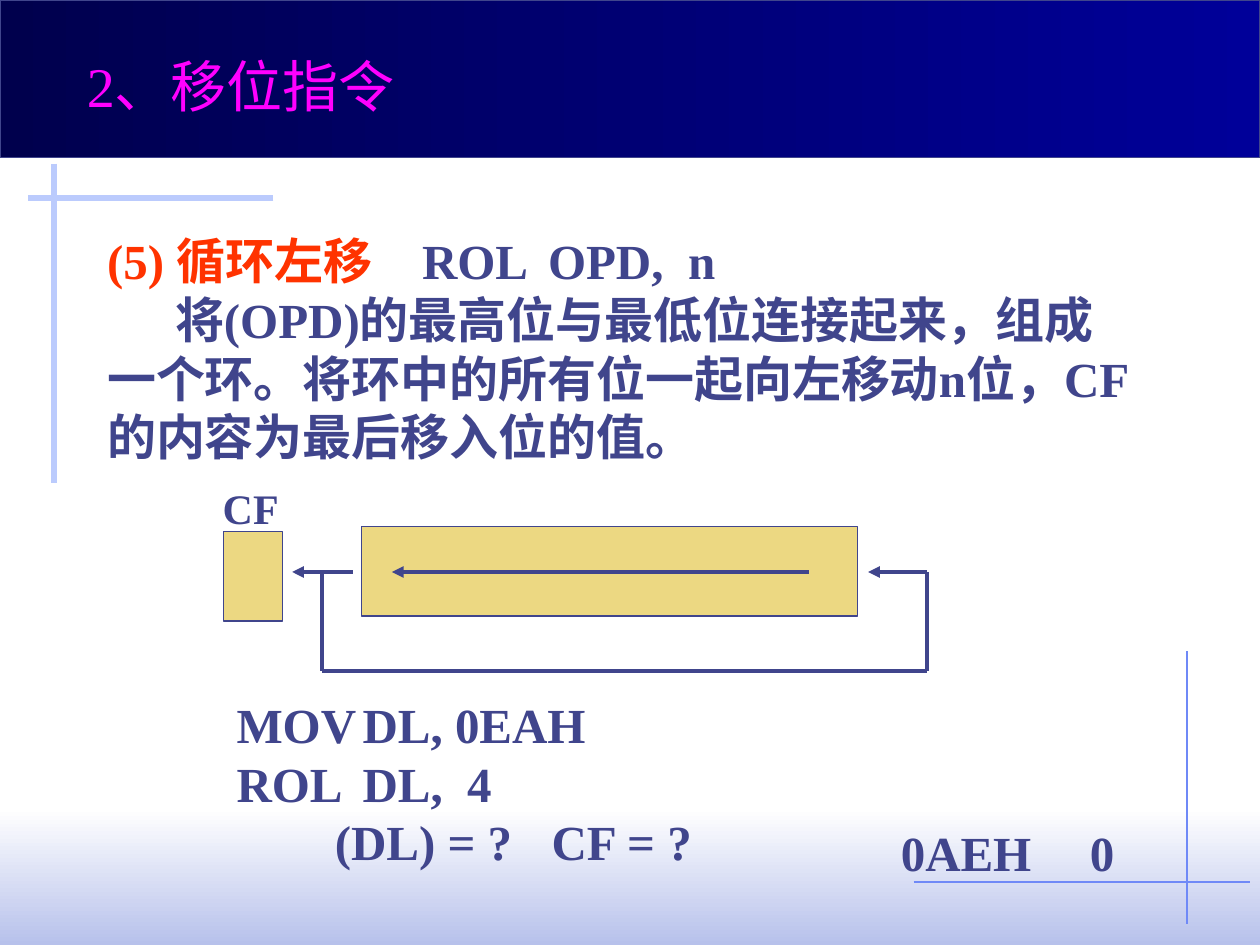
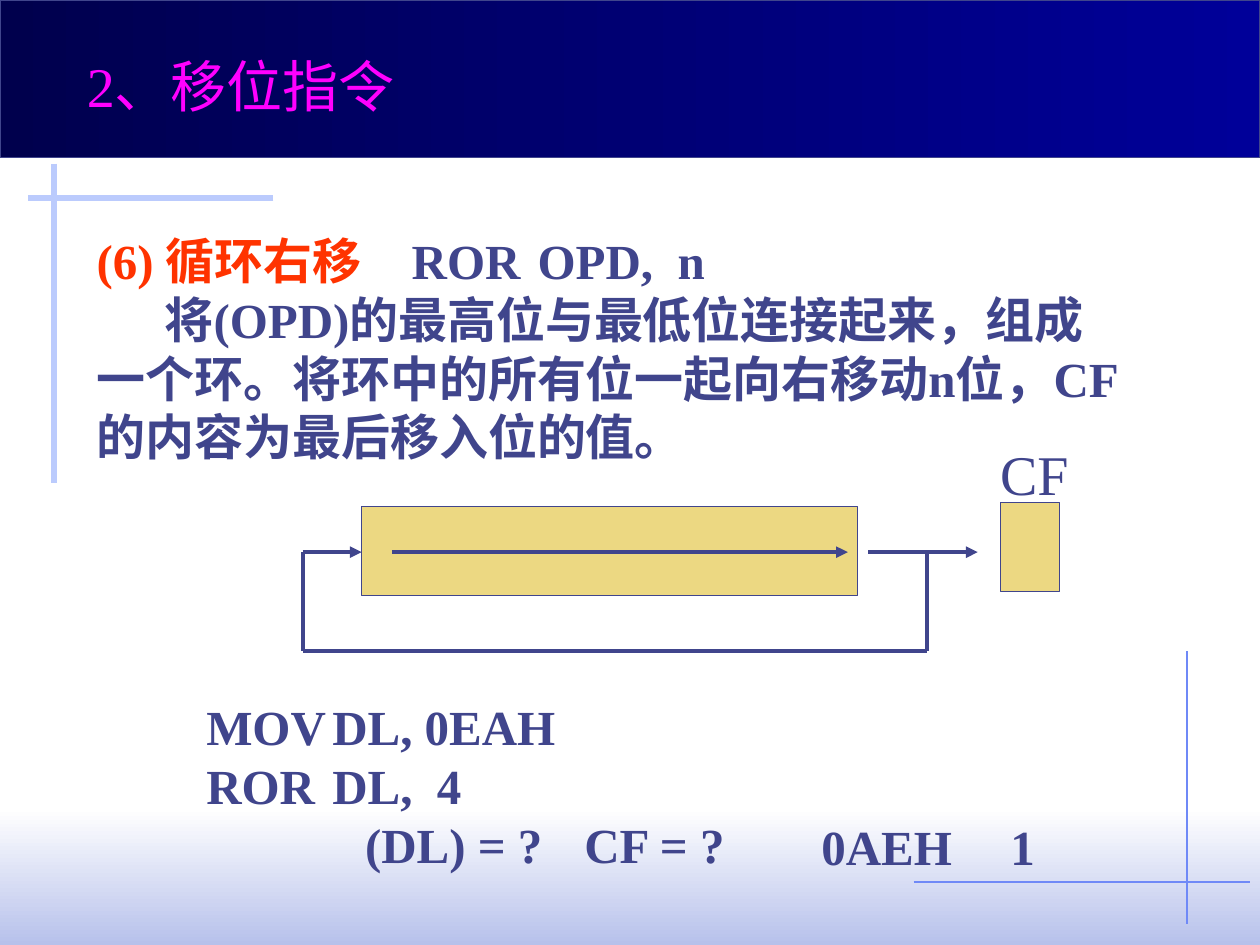
from lxml import etree
from pptx import Presentation
from pptx.dml.color import RGBColor
from pptx.enum.shapes import MSO_CONNECTOR, MSO_SHAPE
from pptx.oxml.ns import qn
from pptx.util import Cm, Pt

RECTANGLE = MSO_SHAPE.RECTANGLE
STRAIGHT = MSO_CONNECTOR.STRAIGHT

COLORS = {
    "ink": "40458C", "heading": "FF3300", "title": "FF00FF",
    "register": "ECD882", "white": "FFFFFF", "footer": "B7C1EB",
    "band_dark": "00004D", "band_light": "000099",
    "corner": "BBCBFD", "hairline": "6F89F7",
}
LATIN_FONT = "Times New Roman"
CHINESE_FONT = "Noto Sans CJK SC"
SLIDE_WIDTH, SLIDE_HEIGHT = 25.4, 19.05
REGISTER_LEFT, REGISTER_WIDTH = 7.29, 10
FLAG_WIDTH, CELL_HEIGHT = 1.19, 1.8
LOOP_RIGHT = 18.69
HEADING_TABS = (6.17, 9.5)
OPERAND_TAB = 3.12


def rgb(name):
    return RGBColor.from_string(COLORS[name])


# Elements
def add_rectangle(slide, left, top, width, height, outline=None):
    rectangle = slide.shapes.add_shape(
        RECTANGLE, Cm(left), Cm(top), Cm(width), Cm(height))
    rectangle.shadow.inherit = False
    if outline:
        rectangle.line.color.rgb = rgb(outline)
        rectangle.line.width = Pt(0.75)
    else:
        rectangle.line.fill.background()
    return rectangle


def add_gradient(slide, left, top, width, height, colors, angle, outline=None):
    band = add_rectangle(slide, left, top, width, height, outline)
    band.fill.gradient()
    band.fill.gradient_angle = angle
    for stop, color in zip(band.fill.gradient_stops, colors):
        stop.color.rgb = rgb(color)


def add_cell(slide, left, top, width):
    cell = add_rectangle(slide, left, top, width, CELL_HEIGHT, "ink")
    cell.fill.solid()
    cell.fill.fore_color.rgb = rgb("register")


def add_line(slide, start, end, color="ink", width=2.25, arrow=False):
    line = slide.shapes.add_connector(
        STRAIGHT, *(Cm(value) for value in (*start, *end)))
    line.line.color.rgb = rgb(color)
    line.line.width = Pt(width)
    if arrow:
        etree.SubElement(line.line._get_or_add_ln(), qn("a:tailEnd"), type="triangle")
    properties = line._element.spPr
    etree.SubElement(properties, qn("a:effectLst"))


def set_layout(paragraph, tabs=(), first_line=0):
    properties = paragraph._p.get_or_add_pPr()
    properties.set("marL", "0")
    properties.set("indent", str(Cm(first_line)))
    if tabs:
        tab_list = etree.SubElement(properties, qn("a:tabLst"))
        for position in tabs:
            etree.SubElement(tab_list, qn("a:tab"), pos=str(Cm(position)), algn="l")


def style_run(run, size, color="ink", bold=True):
    run.font.size = Pt(size)
    run.font.bold = bold
    run.font.color.rgb = rgb(color)
    run.font.name = LATIN_FONT
    etree.SubElement(run._r.get_or_add_rPr(), qn("a:ea"), typeface=CHINESE_FONT)


def add_text(slide, left, top, width, height, lines, size=28, color="ink", bold=True):
    """Each line is (text, tab stops, first-line indent)."""
    frame = slide.shapes.add_textbox(
        Cm(left), Cm(top), Cm(width), Cm(height)).text_frame
    frame.word_wrap = True
    frame.text = "\n".join(text for text, _, _ in lines)
    for paragraph, (_, tabs, first_line) in zip(frame.paragraphs, lines):
        set_layout(paragraph, tabs, first_line)
        for run in paragraph.runs:
            style_run(run, size, color, bold)
    return frame


# Shared slide parts
def add_base_slide(prs):
    slide = prs.slides.add_slide(prs.slide_layouts[6])
    add_gradient(slide, 0, 16.3, SLIDE_WIDTH, 2.75, ("white", "footer"), 270)
    add_line(slide, (23.93, 13.13), (23.93, 18.62), "hairline", 0.75)
    add_line(slide, (18.42, 17.78), (25.2, 17.78), "hairline", 0.75)
    add_line(slide, (5.51, 3.99), (0.56, 3.99), "corner", 3)
    add_line(slide, (1.09, 3.3), (1.09, 9.73), "corner", 3)
    add_gradient(slide, 0, 0, SLIDE_WIDTH, 3.18, ("band_dark", "band_light"), 0, "ink")
    add_text(slide, 1.5, 0.91, 7.11, 1.63, [("2、移位指令", (), 0)],
             size=32, color="title", bold=False)
    return slide


def add_explanation(slide, left, heading, mnemonic, direction):
    body = (f"将(OPD)的最高位与最低位连接起来，组成一个环。将环中的所有位一起向{direction}"
            "移动n位，CF的内容为最后移入位的值。")
    frame = add_text(slide, left, 4.52, 21.21, 5,
                     [(heading, HEADING_TABS, 0), (body, (), 1.37)])
    heading_line = frame.paragraphs[0]
    heading_line.runs[0].font.color.rgb = rgb("heading")
    instruction = heading_line.add_run()
    instruction.text = f"\t{mnemonic}\tOPD,  n"
    style_run(instruction, 28)


def add_rotation(slide, register_top, flag_at, loop_left, axis, arrows):
    add_cell(slide, REGISTER_LEFT, register_top, REGISTER_WIDTH)
    add_cell(slide, *flag_at, FLAG_WIDTH)
    # Feedback loop below the register
    bottom = axis + 1.99
    corners = [(loop_left, axis), (loop_left, bottom),
               (LOOP_RIGHT, bottom), (LOOP_RIGHT, axis)]
    for start, end in zip(corners, corners[1:]):
        add_line(slide, start, end)
    for start, end in arrows:
        add_line(slide, (start, axis), (end, axis), arrow=True)


def add_exercise(slide, left, top, mnemonic, result_indent, flag_tab):
    add_text(slide, left, top, 11.6, 3.81, [
        ("MOV\tDL, 0EAH", (OPERAND_TAB,), 0),
        (f"{mnemonic}\tDL,  4", (OPERAND_TAB,), 0),
        ("(DL) = ?\tCF = ?", (flag_tab,), result_indent),
    ])


def add_answer(slide, left, top, flag, flag_tab):
    add_text(slide, left, top, 5.5, 1.45, [(f"0AEH\t{flag}", (flag_tab,), 0)])


def main():
    prs = Presentation()
    prs.slide_width, prs.slide_height = Cm(SLIDE_WIDTH), Cm(SLIDE_HEIGHT)

    # Rotate left
    rol = add_base_slide(prs)
    add_explanation(rol, 1.91, "(5) 循环左移", "ROL", "左")
    add_rotation(rol, 10.62, (4.5, 10.72), 6.5, 11.53,
                 [(16.31, 7.9), (7.11, 5.89), (LOOP_RIGHT, 17.5)])
    add_text(rol, 4.24, 9.6, 1.9, 1.27, [("CF", (), 0)], size=24)
    add_exercise(rol, 4.52, 13.87, "ROL", 1.98, 7.52)
    add_answer(rol, 17.91, 16.46, "0", 3.37)

    # Rotate right
    ror = add_base_slide(prs)
    add_explanation(ror, 1.7, "(6) 循环右移", "ROR", "右")
    add_rotation(ror, 10.21, (20.17, 10.13), 6.1, 11.13,
                 [(6.1, REGISTER_LEFT), (7.9, 17.09), (17.5, 19.71)])
    add_text(ror, 19.91, 8.74, 2.2, 1.63, [("CF", (), 0)], size=32, bold=False)
    add_exercise(ror, 3.91, 13.92, "ROR", 3.2, 8)
    add_answer(ror, 16.31, 16.33, "1", 3.89)

    prs.save("out.pptx")


if __name__ == "__main__":
    main()
